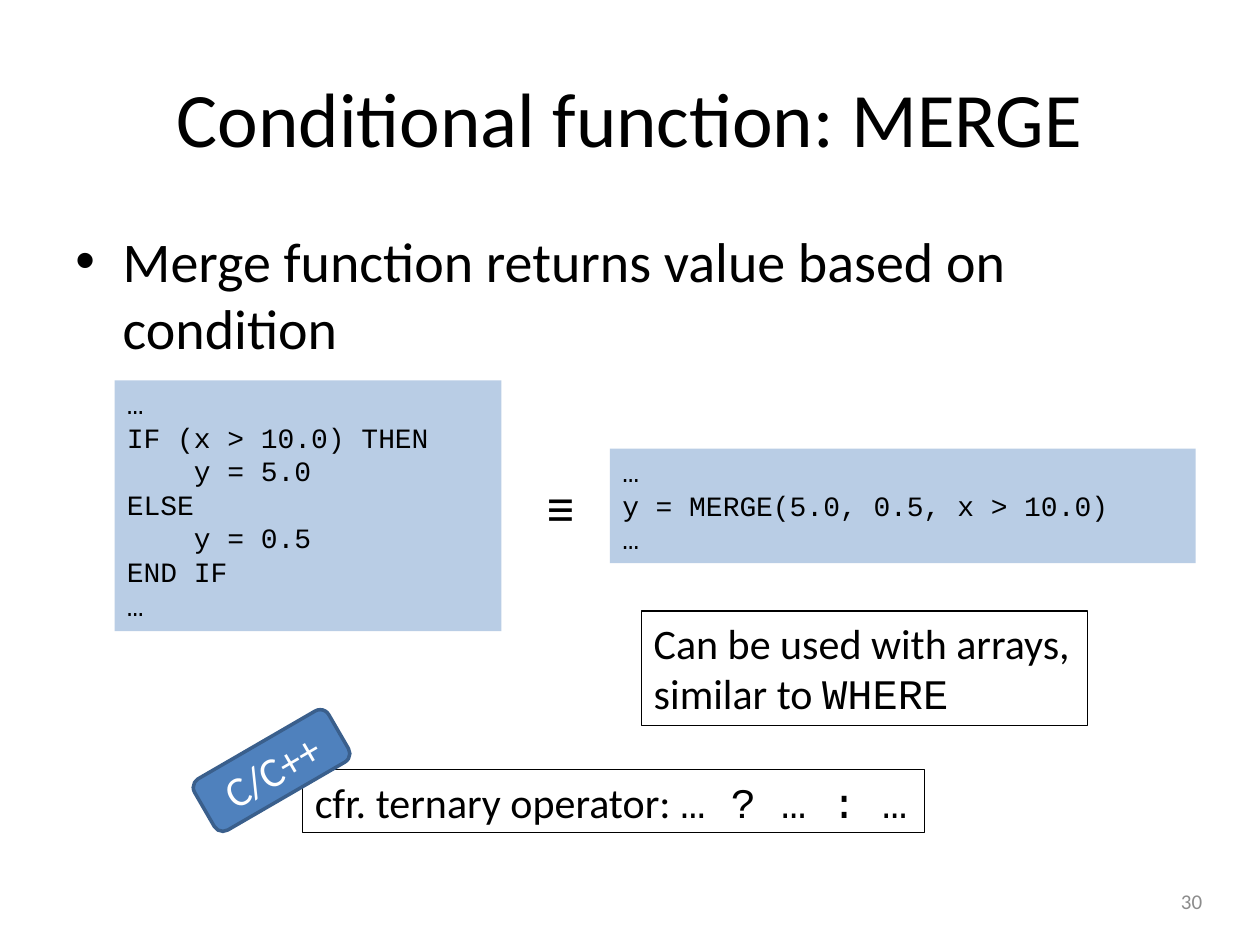
import pptx
import pptx.dml.color
import pptx.enum.shapes
import pptx.enum.text
import pptx.oxml
import pptx.oxml.ns
import pptx.util

Pt = pptx.util.Pt
Form = pptx.enum.shapes.MSO_SHAPE
Align = pptx.enum.text.PP_ALIGN
Anchor = pptx.enum.text.MSO_ANCHOR
Fit = pptx.enum.text.MSO_AUTO_SIZE
SANS, MONO = "Calibri", "Courier New"
BLACK, WHITE, PALE = "000000", "FFFFFF", "B9CDE5"


def color(code):
    return pptx.dml.color.RGBColor.from_string(code)


class Deck:
    def __init__(self):
        self.prs = pptx.Presentation()
        self.prs.slide_width, self.prs.slide_height = Pt(720), Pt(540)
        self.slide = self.prs.slides.add_slide(self.prs.slide_layouts[5])

    def style(self, para, size, font=SANS, ink=BLACK, align=Align.LEFT):
        para.alignment = align
        for run in para.runs:
            run.font.name = font
            run.font.size = Pt(size)
            run.font.color.rgb = color(ink)

    def fill_text(self, shape, text, size, font=SANS, ink=BLACK,
                  align=Align.LEFT, anchor=Anchor.TOP, wrap=True, grow=False):
        frame = shape.text_frame
        frame.text = text
        frame.word_wrap = wrap
        frame.auto_size = Fit.SHAPE_TO_FIT_TEXT if grow else Fit.NONE
        frame.vertical_anchor = anchor
        for para in frame.paragraphs:
            self.style(para, size, font, ink, align)

    def title(self, text, x, y, w, h):
        shape = self.slide.shapes.title
        shape.left, shape.top, shape.width, shape.height = map(Pt, (x, y, w, h))
        self.fill_text(shape, text, 44, align=Align.CENTER,
                       anchor=Anchor.MIDDLE)

    def label(self, text, x, y, w, h, size, **look):
        shape = self.slide.shapes.add_textbox(*map(Pt, (x, y, w, h)))
        self.fill_text(shape, text, size, **look)
        return shape

    def bullet(self, text, x, y, w, h, size):
        shape = self.label("", x, y, w, h, size)
        para = shape.text_frame.paragraphs[0]
        props = para._p.get_or_add_pPr()
        props.set("marL", str(Pt(27)))
        props.set("indent", str(-Pt(27)))
        space = pptx.oxml.ns.nsdecls("a")
        for mark in ('buFont {} typeface="Arial"', 'buChar {} char="•"'):
            props.append(pptx.oxml.parse_xml("<a:" + mark.format(space) + "/>"))
        para.text = text
        self.style(para, size)

    def box(self, x, y, w, h, fill=None, line=None, weight=0.75,
            form=Form.RECTANGLE):
        shape = self.slide.shapes.add_shape(form, *map(Pt, (x, y, w, h)))
        shape.shadow.inherit = False
        if fill:
            shape.fill.solid()
            shape.fill.fore_color.rgb = color(fill)
        else:
            shape.fill.background()
        if line:
            shape.line.color.rgb = color(line)
            shape.line.width = Pt(weight)
        else:
            shape.line.fill.background()
        return shape

    def code(self, text, x, y, w, h):
        shape = self.box(x, y, w, h, PALE)
        self.fill_text(shape, text, 16, MONO, grow=True)

    def note(self, text, tail, x, y, w, h, fill=None):
        """Framed remark whose last line ends in code."""
        shape = self.box(x, y, w, h, fill, BLACK)
        self.fill_text(shape, text, 24, wrap=False, grow=True)
        para = shape.text_frame.paragraphs[-1]
        para.add_run().text = tail
        self.style(para, 24)
        para.runs[-1].font.name = MONO

    def tag(self, text, x, y, w, h, turn):
        shape = self.box(x, y, w, h, "4F81BD", "3A5F8C", 2,
                         Form.ROUNDED_RECTANGLE)
        shape.rotation = turn
        self.fill_text(shape, text, 24, ink=WHITE, align=Align.CENTER,
                       anchor=Anchor.MIDDLE)


def main():
    deck = Deck()

    # Heading, statement and slide number
    deck.title("Conditional function: MERGE", 36, 21.6, 648, 90)
    deck.bullet("Merge function returns value based on condition",
                36, 126, 648, 356.4, 32)
    deck.label("30", 526.3, 500.4, 167.8, 28.8, 12, ink="8C8C8C",
               align=Align.RIGHT, anchor=Anchor.MIDDLE)

    # Ternary operator remark with its language tag
    deck.note("cfr. ternary operator: ", "… ? … : …",
              172.8, 439.9, 355.7, 36, WHITE)
    deck.tag("C/C++", 110.9, 423.4, 88.6, 33.8, 329.9)

    # Equivalent pieces of code
    deck.code("…\nIF (x > 10.0) THEN\n    y = 5.0\nELSE\n"
              "    y = 0.5\nEND IF\n…", 65.5, 217.4, 221, 143.3)
    deck.code("…\ny = MERGE(5.0, 0.5, x > 10.0)\v…", 348.5, 256.3, 334.8, 65.5)
    deck.label("≡", 305.3, 266.4, 32.4, 46.1, 32, wrap=False, grow=True)

    # Remark on arrays
    deck.note("Can be used with arrays,\nsimilar to ", "WHERE",
              366.5, 349.2, 254.9, 65.5)

    deck.prs.save("out.pptx")


if __name__ == "__main__":
    main()
